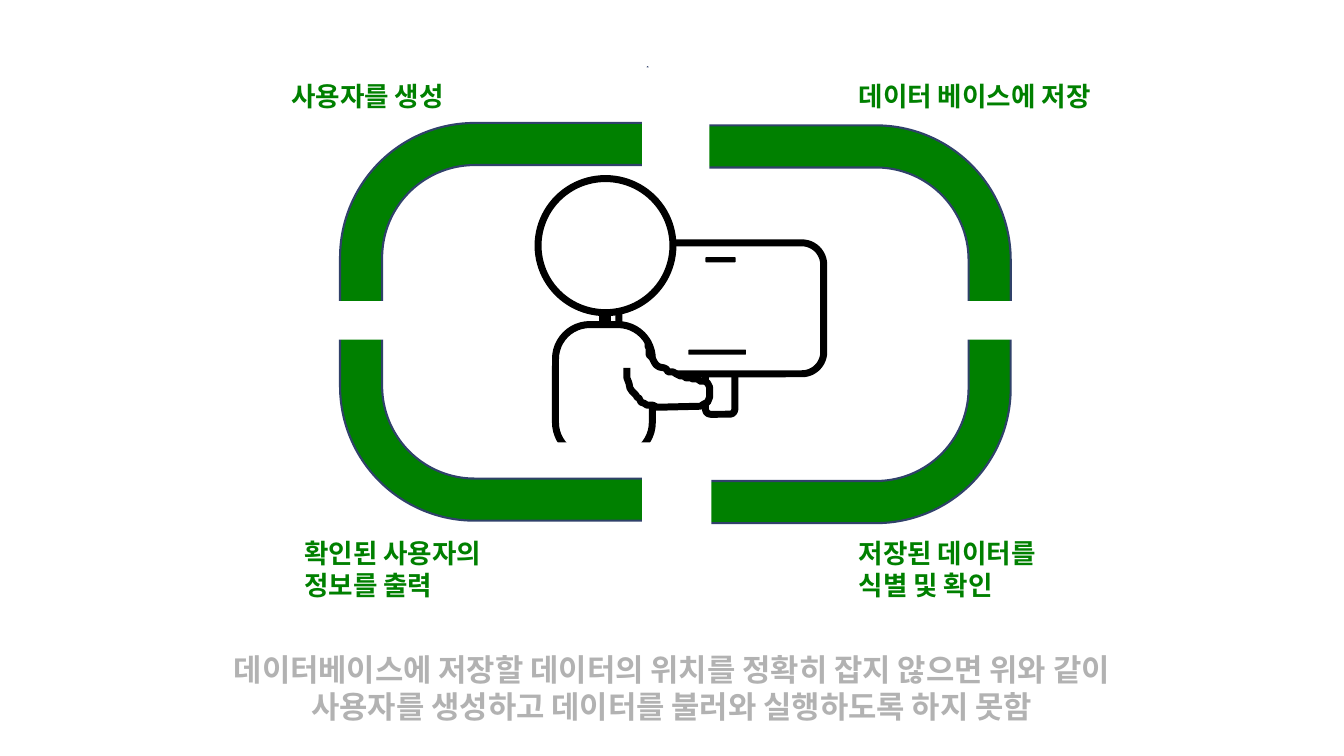
"""Build a slide on the cycle of creating, storing, checking and printing user data."""
from pptx import Presentation
from pptx.dml.color import RGBColor
from pptx.enum.shapes import MSO_SHAPE
from pptx.enum.text import MSO_AUTO_SIZE, PP_ALIGN
from pptx.util import Cm, Pt

RECT = MSO_SHAPE.RECTANGLE
ROUNDED = MSO_SHAPE.ROUNDED_RECTANGLE
OVAL = MSO_SHAPE.OVAL
UTURN = MSO_SHAPE.U_TURN_ARROW
LEFT, CENTER = PP_ALIGN.LEFT, PP_ALIGN.CENTER
FIT_SHAPE = MSO_AUTO_SIZE.SHAPE_TO_FIT_TEXT
COLORS = {
    "green": "008000",
    "navy": "30416A",
    "white": "FFFFFF",
    "black": "000000",
    "gray": "B2B2B2",
}

prs = Presentation()
prs.slide_width, prs.slide_height = Cm(33.87), Cm(19.05)
slide = prs.slides.add_slide(prs.slide_layouts[6])


def paint(part, fill, line=None, width=5):
    part.shadow.inherit = False
    part.fill.solid()
    part.fill.fore_color.rgb = RGBColor.from_string(COLORS[fill])
    if line:
        part.line.color.rgb = RGBColor.from_string(COLORS[line])
        part.line.width = Pt(width)
    else:
        part.line.fill.background()


def add_part(kind, box, fill, line=None, width=5, adjustments=()):
    part = slide.shapes.add_shape(kind, *map(Cm, box))
    for index, value in enumerate(adjustments):
        part.adjustments[index] = value
    paint(part, fill, line, width)
    return part


for left, top, rotation in [(6.73, 3.53, 270), (15.88, 5, 90)]:
    cycle_half = add_part(UTURN, (left, top, 11.43, 7.75), "green", "navy", 1.5,
                          (0.137, 0.25, 0, 0.438, 1))
    cycle_half.rotation = rotation

cycle_gaps = [
    (16.18, 1.7, 0.3, 4.45),
    (16.18, 10.03, 0.3, 4.45),
    (17.58, 1.4, 0.3, 4.45),
    (17.63, 10.34, 0.3, 4.45),
    (7.77, 7.59, 2.79, 0.97),
    (23.29, 7.59, 2.79, 0.97),
]
for gap in cycle_gaps:
    add_part(RECT, gap, "white")

add_part(ROUNDED, (17.78, 9.22, 0.74, 1.22), "white", "black")
add_part(ROUNDED, (15.6, 6.12, 5.16, 3.3), "white", "black")
for screen_mark in [(17.78, 6.48, 0.76, 0.13), (17.35, 8.81, 1.45, 0.13)]:
    add_part(ROUNDED, screen_mark, "black")
add_part(RECT, (15.19, 7.62, 0.13, 1.17), "white", "black")
add_part(ROUNDED, (14, 8.18, 2.44, 3.33), "white", "black", adjustments=(0.354,))

arm_outline = [
    (622, 365), (622, 375), (624, 380), (625, 385), (627, 388), (629, 390),
    (631, 392), (632, 394), (634, 395), (636, 399), (639, 400), (642, 402),
    (648, 402), (652, 404), (695, 403), (698, 401), (702, 399), (704, 394),
    (704, 384), (702, 380), (699, 378), (694, 378), (693, 376), (687, 376),
    (686, 375), (681, 375), (678, 373), (675, 373), (671, 371), (668, 369),
    (663, 369), (661, 366), (659, 365), (654, 364), (651, 362), (649, 359),
    (647, 355), (644, 352), (644, 345), (643, 344), (643, 339),
]
arm_path = slide.shapes.build_freeform(*arm_outline[0], scale=Cm(2.54) / 100)
arm_path.add_line_segments(arm_outline[1:], close=False)
paint(arm_path.convert_to_shape(), "white", "black")

add_part(OVAL, (13.56, 4.5, 3.4, 3.38), "white", "black")
add_part(RECT, (13.28, 11.15, 3.84, 0.53), "white")

captions = [
    ("사용자를 생성", (7.09, 1.9, 5.87, 1.02), 19, "green", LEFT),
    ("데이터 베이스에 저장", (21.39, 1.9, 7.01, 1.02), 19, "green", LEFT),
    ("저장된 데이터를 식별 및 확인", (21.39, 13.41, 5.82, 1.85), 19, "green", LEFT),
    ("확인된 사용자의 정보를 출력", (7.42, 13.41, 5.51, 1.85), 19, "green", LEFT),
    ("데이터베이스에 저장할 데이터의 위치를 정확히 잡지 않으면 위와 같이 "
     "사용자를 생성하고 데이터를 불러와 실행하도록 하지 못함",
     (4.85, 16.28, 24.16, 2.08), 22, "gray", CENTER),
]
for wording, box, size, color, alignment in captions:
    frame = slide.shapes.add_textbox(*map(Cm, box)).text_frame
    frame.word_wrap = True
    frame.auto_size = FIT_SHAPE
    paragraph = frame.paragraphs[0]
    paragraph.alignment = alignment
    run = paragraph.add_run()
    run.text = wording
    for attribute, value in {"name": "Calibri", "size": Pt(size), "bold": True}.items():
        setattr(run.font, attribute, value)
    run.font.color.rgb = RGBColor.from_string(COLORS[color])

prs.save("out.pptx")
